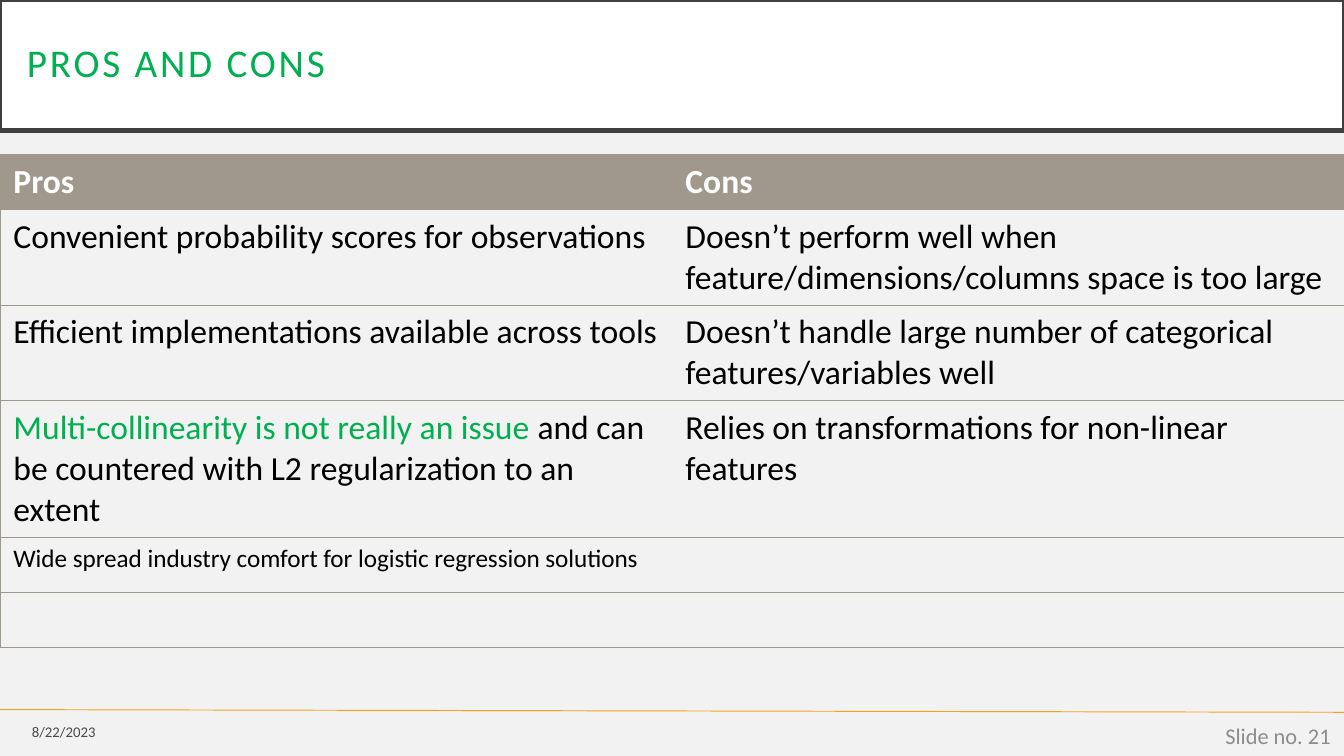
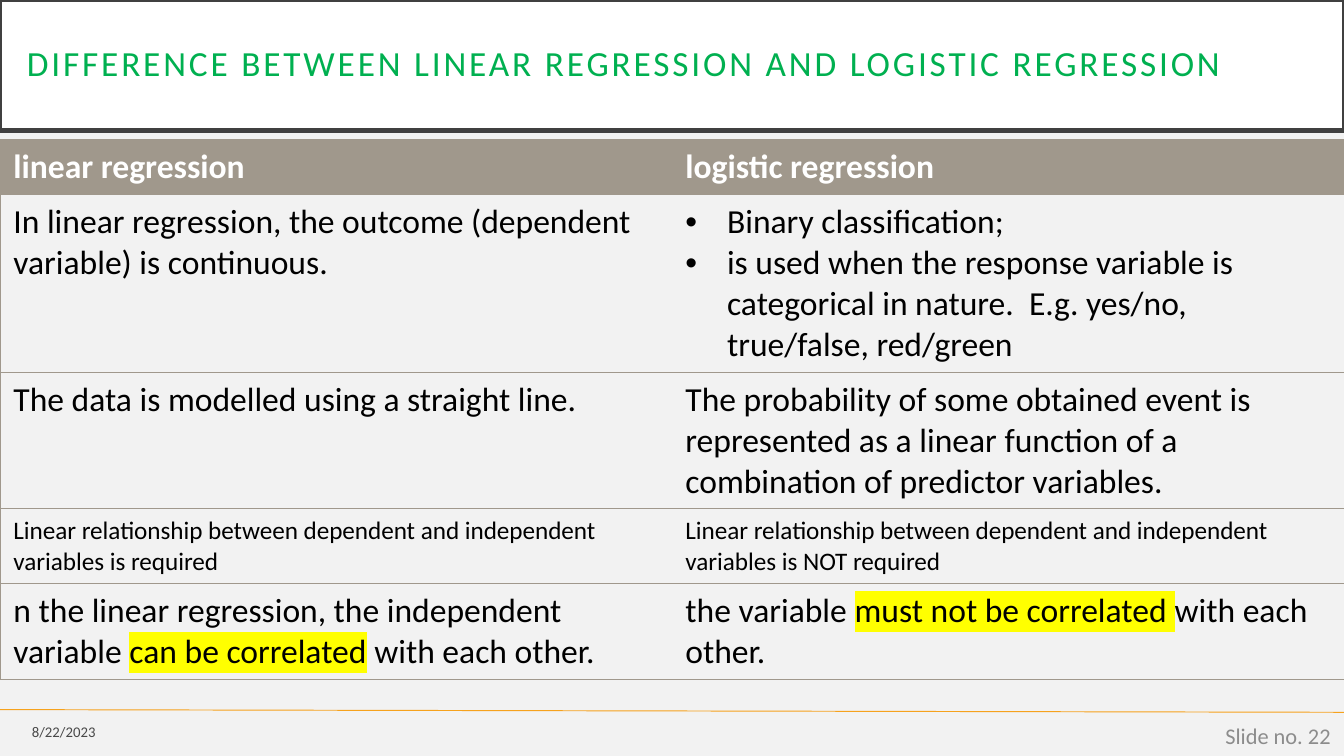
import pptx
import pptx.util
import pptx.dml.color
import pptx.enum.shapes
import pptx.enum.text
import pptx.oxml.ns
from lxml import etree

Inches = pptx.util.Inches
Pt = pptx.util.Pt
RGBColor = pptx.dml.color.RGBColor
PP_ALIGN = pptx.enum.text.PP_ALIGN
MIDDLE = pptx.enum.text.MSO_ANCHOR.MIDDLE
qn = pptx.oxml.ns.qn

GREEN = RGBColor(0x00, 0xB0, 0x50)
TAUPE = RGBColor(0xA0, 0x98, 0x8C)
ORANGE = RGBColor(0xF6, 0xA2, 0x1D)
PAPER = RGBColor(0xF2, 0xF2, 0xF2)
CHARCOAL = RGBColor(0x40, 0x40, 0x40)
GREY = RGBColor(0x8C, 0x8C, 0x8C)
YELLOW = RGBColor(0xFF, 0xFF, 0x00)
WHITE = RGBColor(0xFF, 0xFF, 0xFF)
BLACK = RGBColor(0x00, 0x00, 0x00)

FONT = "Calibri"
WIDTH = 10
HEIGHT = WIDTH * 9 / 16
ROW_HEIGHT = 0.41
BULLET_INDENT = 0.31
NORMAL, SMALL = 18, 13.5
PLAIN, ACCENT, MARKED = "plain", "accent", "marked"
DATE = "8/22/2023"

SLIDES = [
    {
        "title": "PROS AND CONS",
        "title_size": 21,
        "number": 21,
        "table_top": 1.15,
        "header": ("Pros", "Cons"),
        "rows": [
            (NORMAL, "Convenient probability scores for observations",
             "Doesn’t perform well when feature/dimensions/columns space is too large"),
            (NORMAL, "Efficient implementations available across tools",
             "Doesn’t handle large number of categorical features/variables well"),
            (NORMAL, [("Multi-collinearity is not really an issue ", ACCENT),
                      ("and can be countered with L2 regularization to an extent", PLAIN)],
             "Relies on transformations for non-linear features"),
            (SMALL, "Wide spread industry comfort for logistic regression solutions", ""),
            (NORMAL, "", ""),
        ],
    },
    {
        "title": "DIFFERENCE BETWEEN LINEAR REGRESSION AND LOGISTIC REGRESSION",
        "title_size": 18.9,
        "number": 22,
        "table_top": 1.04,
        "header": ("linear regression", "logistic regression"),
        "rows": [
            (NORMAL, "In linear regression, the outcome (dependent variable) is continuous.",
             ("Binary classification;",
              "is used when the response variable is categorical in nature.  "
              "E.g. yes/no, true/false, red/green")),
            (NORMAL, "The data is modelled using a straight line.",
             "The probability of some obtained event is represented as a linear function "
             "of a combination of predictor variables."),
            (SMALL, "Linear relationship between dependent and independent variables is required",
             "Linear relationship between dependent and independent variables is NOT required"),
            (NORMAL, [("n the linear regression, the independent variable ", PLAIN),
                      ("can be correlated", MARKED),
                      (" with each other.", PLAIN)],
             [("the variable ", PLAIN),
              ("must not be correlated ", MARKED),
              ("with each other.", PLAIN)]),
        ],
    },
]


def style_font(font, size, color, bold=False):
    font.name = FONT
    font.size = Pt(size)
    font.bold = bold
    font.color.rgb = color


def add_color(parent, color):
    return etree.SubElement(parent, qn("a:srgbClr"), val=str(color))


def highlight(run):
    mark = etree.Element(qn("a:highlight"))
    add_color(mark, YELLOW)
    run._r.rPr.find(qn("a:latin")).addprevious(mark)


def add_bullet(paragraph):
    indent = Inches(BULLET_INDENT)
    properties = paragraph._p.get_or_add_pPr()
    properties.set("marL", str(indent))
    properties.set("indent", str(-indent))
    etree.SubElement(properties, qn("a:buFont"), typeface="Arial")
    etree.SubElement(properties, qn("a:buChar"), char="•")


def set_borders(cell, is_left):
    shown = {"lnL": is_left, "lnR": not is_left, "lnT": True, "lnB": True}
    for side, visible in shown.items():
        border = etree.SubElement(cell._tc.get_or_add_tcPr(), qn("a:" + side), w=str(Pt(0.5)))
        if visible:
            add_color(etree.SubElement(border, qn("a:solidFill")), TAUPE)
        else:
            etree.SubElement(border, qn("a:noFill"))


def fill_cell(cell, content, size, color, bold):
    frame = cell.text_frame
    if isinstance(content, list):
        for text, style in content:
            run = frame.paragraphs[0].add_run()
            run.text = text
            style_font(run.font, size, GREEN if style == ACCENT else color, bold)
            if style == MARKED:
                highlight(run)
        return
    bulleted = isinstance(content, tuple)
    frame.text = "\n".join(content) if bulleted else content
    for paragraph in frame.paragraphs:
        if bulleted:
            add_bullet(paragraph)
        for run in paragraph.runs:
            style_font(run.font, size, color, bold)


def add_comparison(slide, top, header, rows):
    lines = [(NORMAL, *header), *rows]
    table = slide.shapes.add_table(
        len(lines), len(header), Inches(0), Inches(top),
        Inches(WIDTH), Inches(ROW_HEIGHT * len(lines))).table
    table.horz_banding = False
    for row, (size, *contents) in enumerate(lines):
        table.rows[row].height = Inches(ROW_HEIGHT)
        is_header = row == 0
        for column, content in enumerate(contents):
            cell = table.cell(row, column)
            set_borders(cell, column == 0)
            if is_header:
                cell.fill.solid()
                cell.fill.fore_color.rgb = TAUPE
            else:
                cell.fill.background()
            fill_cell(cell, content, size, WHITE if is_header else BLACK, is_header)


def set_title(slide, text, size):
    title = slide.shapes.title
    title.left, title.top = Inches(0), Inches(0)
    title.width, title.height = Inches(WIDTH), Inches(0.97)
    title.fill.solid()
    title.fill.fore_color.rgb = WHITE
    title.line.color.rgb = CHARCOAL
    title.line.width = Pt(2.5)
    frame = title.text_frame
    frame.text = text
    frame.word_wrap = True
    frame.auto_size = pptx.enum.text.MSO_AUTO_SIZE.NONE
    frame.vertical_anchor = MIDDLE
    frame.margin_left = frame.margin_right = Inches(0.2)
    frame.margin_top = frame.margin_bottom = Inches(0.2)
    paragraph = frame.paragraphs[0]
    paragraph.alignment = PP_ALIGN.LEFT
    paragraph.line_spacing = 0.9
    run = paragraph.runs[0]
    style_font(run.font, size, GREEN)
    run._r.rPr.set("spc", "150")


def add_footer(slide, text, left, top, width, height, size, color):
    frame = slide.shapes.add_textbox(
        Inches(left), Inches(top), Inches(width), Inches(height)).text_frame
    frame.text = text
    frame.word_wrap = True
    frame.vertical_anchor = MIDDLE
    paragraph = frame.paragraphs[0]
    paragraph.alignment = PP_ALIGN.RIGHT
    run = paragraph.runs[0]
    style_font(run.font, size, color)
    return run


def add_footer_rule(slide, layout):
    rule = slide.shapes.add_connector(
        pptx.enum.shapes.MSO_CONNECTOR.STRAIGHT,
        Inches(0), Inches(5.28), Inches(WIDTH), Inches(5.3))
    rule.line.color.rgb = ORANGE
    rule.line.width = Pt(0.5)
    etree.SubElement(rule._element.spPr, qn("a:effectLst"))
    layout.shapes.element.append(rule._element)


def main():
    deck = pptx.Presentation()
    deck.slide_width, deck.slide_height = Inches(WIDTH), Inches(HEIGHT)
    layout = deck.slide_layouts.get_by_name("Title Only")
    layout.background.fill.solid()
    layout.background.fill.fore_color.rgb = PAPER
    for index, content in enumerate(SLIDES):
        slide = deck.slides.add_slide(layout)
        if index == 0:
            add_footer_rule(slide, layout)
        set_title(slide, content["title"], content["title_size"])
        add_comparison(slide, content["table_top"], content["header"], content["rows"])
        date = add_footer(slide, DATE, 0, 5.31, 0.81, 0.27, 7.9, BLACK)
        shade = date._r.rPr.find(".//" + qn("a:srgbClr"))
        etree.SubElement(shade, qn("a:alpha"), val="70000")
        add_footer(slide, f"Slide no. {content['number']}", 7.75, 5.32, 2.25, 0.3, 12, GREY)
    deck.save("out.pptx")


if __name__ == "__main__":
    main()
